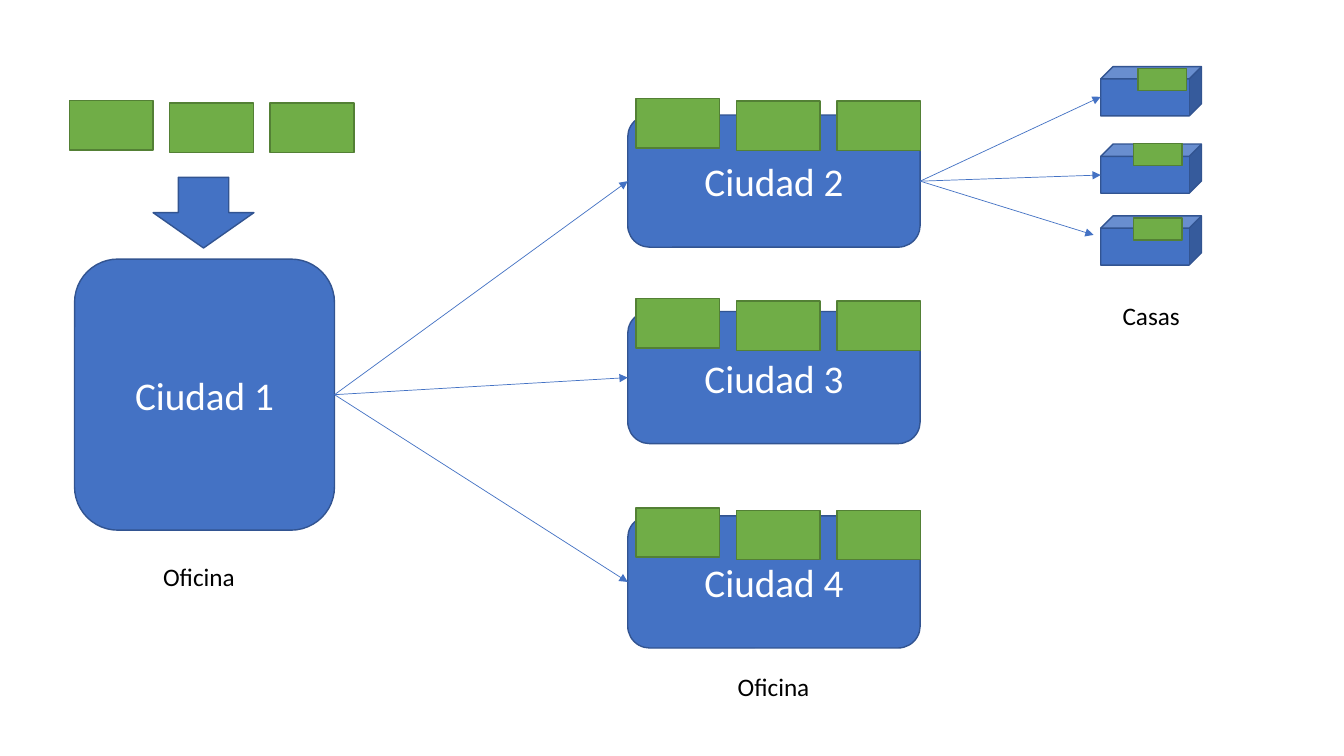
"""Build the slide on parcels travelling from a city through offices to houses."""
from lxml.etree import SubElement
from pptx import Presentation
from pptx.dml.color import RGBColor
from pptx.enum.shapes import MSO_CONNECTOR, MSO_SHAPE
from pptx.enum.text import MSO_ANCHOR, MSO_AUTO_SIZE, PP_ALIGN
from pptx.oxml.ns import qn
from pptx.util import Cm, Pt

BLUE, BLUE_EDGE = "4472C4", "325491"
GREEN, GREEN_EDGE = "70AD47", "538035"
CITY_FONT = {"name": "Calibri", "size": Pt(28)}
LABEL_FONT = {"name": "Calibri", "size": Pt(18)}
CITY_FRAME = {"vertical_anchor": MSO_ANCHOR.MIDDLE, "word_wrap": True}
LABEL_FRAME = {"word_wrap": False, "auto_size": MSO_AUTO_SIZE.SHAPE_TO_FIT_TEXT}
LEFT_SITE, RIGHT_SITE = 1, 3


def paint(color_format, hex_color):
    """Give a fill or font colour the value of a hex string."""
    color_format.rgb = RGBColor.from_string(hex_color)


def apply(target, values):
    """Set every attribute named in values on target."""
    for name, value in values.items():
        setattr(target, name, value)


def write(frame, text, font, color, frame_values, alignment):
    """Put one formatted paragraph into a text frame."""
    apply(frame, frame_values)
    paragraph = frame.paragraphs[0]
    paragraph.alignment = alignment
    run = paragraph.add_run()
    run.text = text
    apply(run.font, font)
    paint(run.font.color, color)


def add_block(slide, preset, box, fill=BLUE, edge=BLUE_EDGE):
    """Add a filled preset shape at a box given in centimetres."""
    block = slide.shapes.add_shape(preset, *map(Cm, box))
    block.shadow.inherit = False
    block.fill.solid()
    paint(block.fill.fore_color, fill)
    paint(block.line.color, edge)
    block.line.width = Pt(1)
    return block


def add_city(slide, name, box):
    """Add a rounded box that carries the name of a city."""
    city = add_block(slide, MSO_SHAPE.ROUNDED_RECTANGLE, box)
    write(city.text_frame, name, CITY_FONT, "FFFFFF", CITY_FRAME, PP_ALIGN.CENTER)
    return city


def add_parcel(slide, left, top, width=2.11, height=1.24):
    """Add one green parcel."""
    add_block(slide, MSO_SHAPE.RECTANGLE, (left, top, width, height), GREEN, GREEN_EDGE)


def add_parcel_row(slide, left, top):
    """Add three parcels, the first slightly higher than the others."""
    for column in range(3):
        add_parcel(slide, left + 2.53 * column, top + (0.06 if column else 0))


def add_route(slide, origin, end=(0, 0), destination=None):
    """Add an arrow from a city to another city or to an end point."""
    route = slide.shapes.add_connector(MSO_CONNECTOR.STRAIGHT, 0, 0, *map(Cm, end))
    route.begin_connect(origin, RIGHT_SITE)
    if destination is not None:
        route.end_connect(destination, LEFT_SITE)
    paint(route.line.color, BLUE)
    route.line.width = Pt(0.5)
    SubElement(route.line._get_or_add_ln(), qn("a:tailEnd"), type="triangle")
    SubElement(route._element.spPr, qn("a:effectLst"))


def add_label(slide, text, left, top, width):
    """Add a caption below a group."""
    label = slide.shapes.add_textbox(*map(Cm, (left, top, width, 1.03)))
    write(label.text_frame, text, LABEL_FONT, "000000", LABEL_FRAME, PP_ALIGN.LEFT)


def main():
    """Build and save the slide."""
    deck = Presentation()
    apply(deck, {"slide_width": Cm(33.87), "slide_height": Cm(19.05)})
    slide = deck.slides.add_slide(deck.slide_layouts[6])

    source_city = add_city(slide, "Ciudad 1", (1.88, 6.53, 6.55, 6.83))
    add_parcel_row(slide, 1.75, 2.54)
    add_block(slide, MSO_SHAPE.DOWN_ARROW, (3.86, 4.47, 2.54, 1.78))

    offices = []
    for number, (office_top, parcels_top) in enumerate(
            [(2.9, 2.49), (7.85, 7.53), (13.0, 12.8)], start=2):
        office = add_city(slide, f"Ciudad {number}", (15.82, office_top, 7.37, 3.33))
        add_route(slide, source_city, destination=office)
        add_parcel_row(slide, 16.03, parcels_top)
        offices.append(office)

    for house_top, parcel_spot, route_end in [
            (1.68, (28.68, 1.73), (27.74, 2.44)),
            (3.63, (28.57, 3.61), (27.74, 4.41)),
            (5.44, (28.57, 5.49), (27.56, 5.92))]:
        add_block(slide, MSO_SHAPE.CUBE, (27.74, house_top, 2.54, 1.24))
        add_parcel(slide, *parcel_spot, width=1.22, height=0.56)
        add_route(slide, offices[0], end=route_end)

    add_label(slide, "Oficina", 3.86, 14.02, 2.34)
    add_label(slide, "Oficina", 18.34, 16.79, 2.34)
    add_label(slide, "Casas", 28.04, 7.44, 1.98)
    deck.save("out.pptx")


main()
